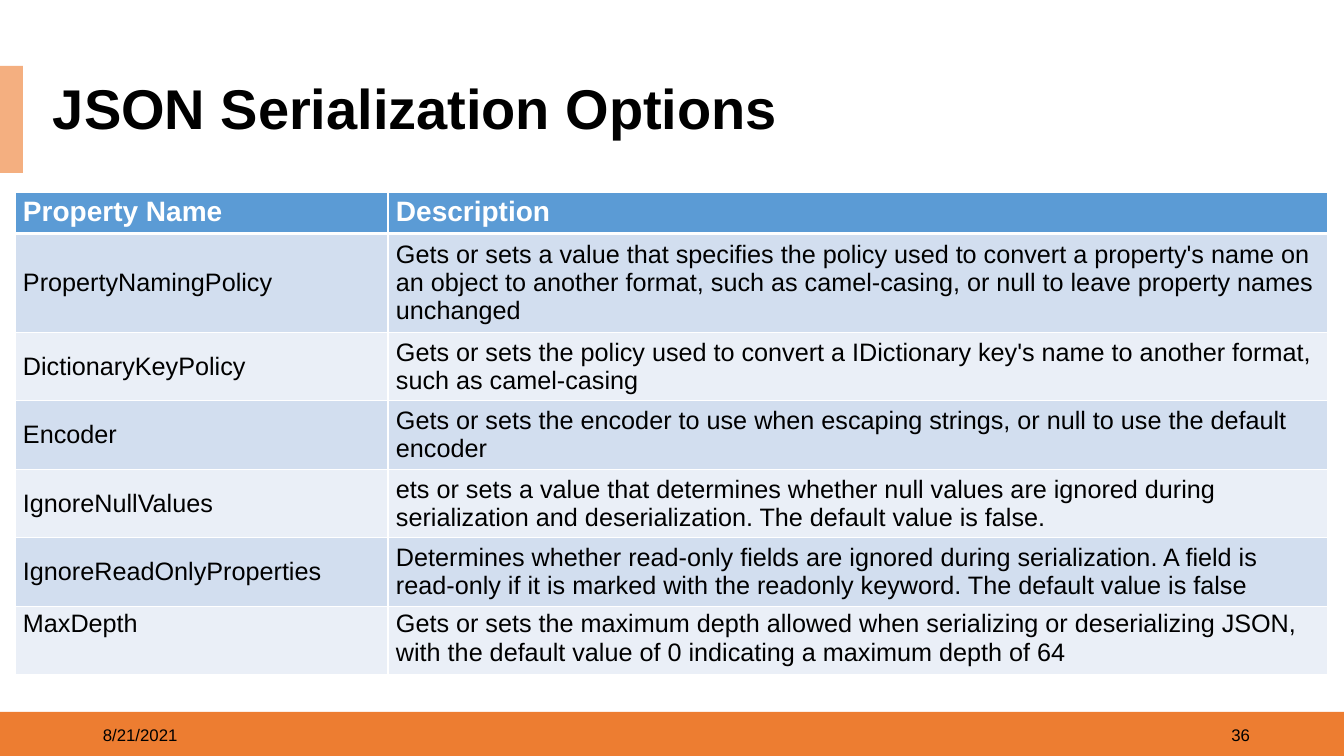
from lxml import etree
from pptx import Presentation
from pptx.dml.color import RGBColor
from pptx.enum.shapes import MSO_SHAPE
from pptx.enum.text import MSO_ANCHOR, PP_ALIGN
from pptx.oxml.ns import qn
from pptx.util import Pt

LEFT, RIGHT, JUSTIFY = PP_ALIGN.LEFT, PP_ALIGN.RIGHT, PP_ALIGN.JUSTIFY
TOP, MIDDLE = MSO_ANCHOR.TOP, MSO_ANCHOR.MIDDLE
RECTANGLE = MSO_SHAPE.RECTANGLE

# Content
TITLE = "JSON Serialization Options"
DATE = "8/21/2021"
SLIDE_NUMBER = "36"
HEADER = ("Property Name", "Description")
OPTIONS = [
    ("PropertyNamingPolicy",
     "Gets or sets a value that specifies the policy used to convert a property's name on an object "
     "to another format, such as camel-casing, or null to leave property names unchanged"),
    ("DictionaryKeyPolicy",
     "Gets or sets the policy used to convert a IDictionary key's name to another format, "
     "such as camel-casing"),
    ("Encoder",
     "Gets or sets the encoder to use when escaping strings, or null to use the default encoder"),
    ("IgnoreNullValues",
     "ets or sets a value that determines whether null values are ignored during serialization "
     "and deserialization. The default value is false."),
    ("IgnoreReadOnlyProperties",
     "Determines whether read-only fields are ignored during serialization. A field is read-only "
     "if it is marked with the readonly keyword. The default value is false"),
    ("MaxDepth",
     "Gets or sets the maximum depth allowed when serializing or deserializing JSON, "
     "with the default value of 0 indicating a maximum depth of 64"),
]

# Format
FONT = "Arial"
COLORS = {
    "footer": "ED7D31", "accent": "F4AF80", "header": "5B9BD5",
    "odd": "D2DEEF", "even": "EAEFF7", "white": "FFFFFF", "black": "000000",
}
PX = 914400 / 100.8
SLIDE_SIZE = (1344, 756)
BARS = [((0, 712, 1344, 44), "footer"), ((0, 66, 23, 107), "accent")]
TEXTS = [
    (DATE, (93, 715, 302, 40), LEFT, {"size": Pt(12), "bold": False}),
    (SLIDE_NUMBER, (958, 715, 302, 40), RIGHT, {"size": Pt(12), "bold": False}),
    (TITLE, (43, 80, 1230, 63), LEFT, {"size": Pt(40), "bold": True}),
]
TABLE_ORIGIN = (15, 192)
COLUMN_WIDTHS = (373, 940)
ROW_HEIGHTS = [41, 94] + [67] * 5
CELL_MARGINS = {"margin_left": 8, "margin_right": 8, "margin_top": 4, "margin_bottom": 4}


def emu(pixels):
    return round(pixels * PX)


def box(pixels):
    return [emu(value) for value in pixels]


def color(name):
    return RGBColor.from_string(COLORS[name])


def fill(target, name):
    target.fill.solid()
    target.fill.fore_color.rgb = color(name)


def write(frame, text, alignment, font_color, font_format):
    paragraph = frame.paragraphs[0]
    paragraph.alignment = alignment
    run = paragraph.add_run()
    run.text = text
    run.font.name = FONT
    run.font.color.rgb = color(font_color)
    for name, value in font_format.items():
        setattr(run.font, name, value)
    return paragraph


def add_borders(cell, widths):
    properties = cell._tc.get_or_add_tcPr()
    for index, (side, width) in enumerate(widths.items()):
        line = etree.Element(qn(f"a:ln{side}"), w=str(Pt(width)))
        solid = etree.SubElement(line, qn("a:solidFill"))
        etree.SubElement(solid, qn("a:srgbClr"), val=COLORS["white"])
        properties.insert(index, line)


presentation = Presentation()
presentation.slide_width, presentation.slide_height = box(SLIDE_SIZE)
slide = presentation.slides.add_slide(presentation.slide_layouts[6])

# Footer bar and title accent
for bounds, name in BARS:
    shape = slide.shapes.add_shape(RECTANGLE, *box(bounds))
    shape.shadow.inherit = False
    fill(shape, name)
    shape.line.fill.background()

# Footer texts and title
for text, bounds, alignment, font_format in TEXTS:
    frame = slide.shapes.add_textbox(*box(bounds)).text_frame
    frame.word_wrap = True
    frame.vertical_anchor = MIDDLE
    paragraph = write(frame, text, alignment, "black", font_format)
    if text == TITLE:
        paragraph.line_spacing = 0.9

# Options table
rows = [HEADER] + OPTIONS
table_size = (sum(COLUMN_WIDTHS), sum(ROW_HEIGHTS))
table = slide.shapes.add_table(len(rows), len(HEADER), *box(TABLE_ORIGIN + table_size)).table
for column, width in zip(table.columns, COLUMN_WIDTHS):
    column.width = emu(width)
for row, height in zip(table.rows, ROW_HEIGHTS):
    row.height = emu(height)

for row_index, values in enumerate(rows):
    is_header = row_index == 0
    is_last = row_index == len(rows) - 1
    fill_name = "header" if is_header else ("even", "odd")[row_index % 2]
    font_format = {"size": Pt(20 if is_header else 18), "bold": is_header}
    borders = {"L": 1, "R": 1, "T": 3 if row_index == 1 else 1, "B": 3 if is_header else 1}
    for column_index, text in enumerate(values):
        cell = table.cell(row_index, column_index)
        for name, margin in CELL_MARGINS.items():
            setattr(cell, name, emu(margin))
        cell.vertical_anchor = TOP if is_header or is_last else MIDDLE
        fill(cell, fill_name)
        add_borders(cell, borders)
        write(cell.text_frame, text, JUSTIFY if is_header else LEFT,
              "white" if is_header else "black", font_format)

presentation.save("out.pptx")
